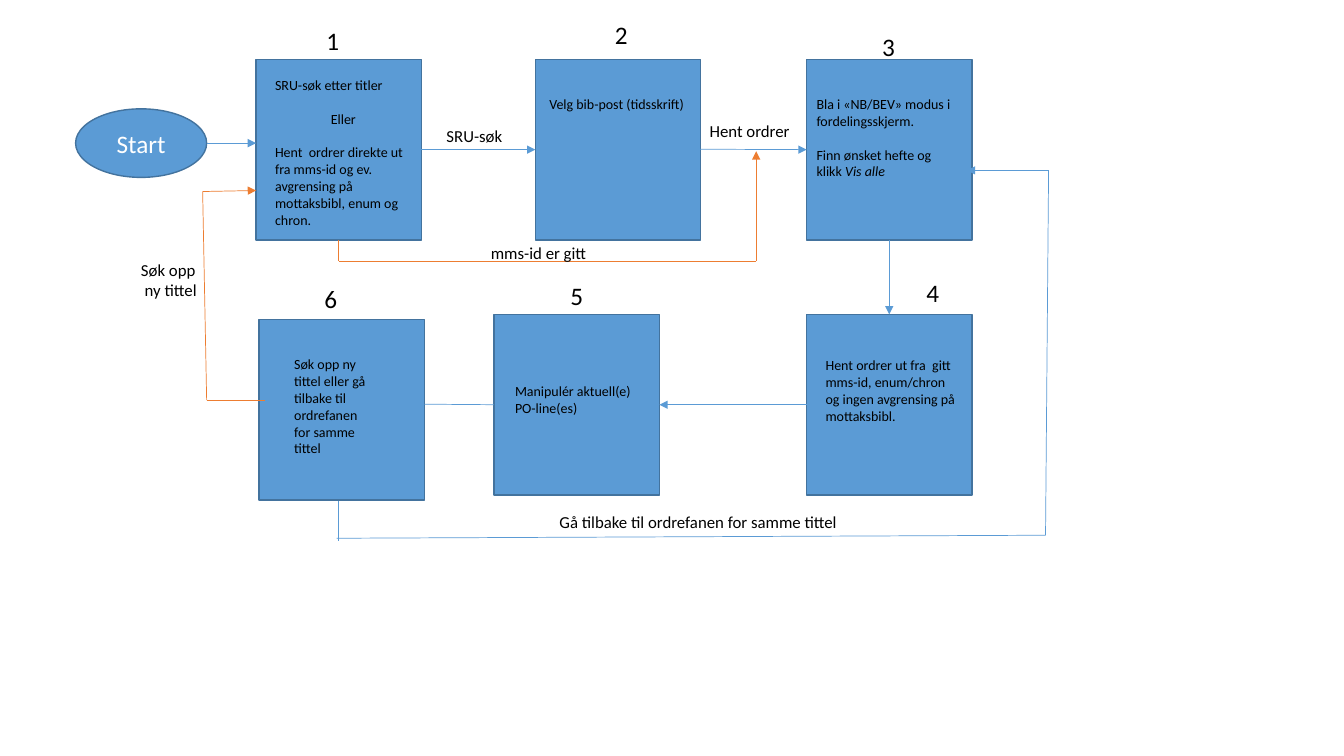
"""Build a flow chart of the order search process in six numbered steps."""
from lxml import etree
from pptx import Presentation
from pptx.dml.color import RGBColor
from pptx.enum.shapes import MSO_CONNECTOR, MSO_SHAPE
from pptx.enum.text import MSO_ANCHOR, PP_ALIGN
from pptx.oxml.ns import qn
from pptx.util import Inches, Pt

COLORS = {"blue": "5B9BD5", "edge": "43739E", "orange": "ED7D31",
          "black": "000000", "white": "FFFFFF"}
FONT = "Calibri"
BOX_WIDTH, BOX_HEIGHT = 1.64, 1.79
TOP, LEFT, BOTTOM, RIGHT = range(4)

deck = Presentation()
deck.slide_width, deck.slide_height = Inches(13.33), Inches(7.5)
page = deck.slides.add_slide(deck.slide_layouts[6])


def add_node(kind, left, top, width, height):
    node = page.shapes.add_shape(kind, Inches(left), Inches(top), Inches(width), Inches(height))
    node.shadow.inherit = False
    node.fill.solid()
    node.fill.fore_color.rgb = RGBColor.from_string(COLORS["blue"])
    node.line.color.rgb = RGBColor.from_string(COLORS["edge"])
    node.line.width = Pt(1)
    return node


def add_text(place, size, paragraphs):
    box = page.shapes.add_textbox(*[Inches(length) for length in place])
    frame = box.text_frame
    frame.word_wrap = True
    for index, text in enumerate(paragraphs):
        para = frame.paragraphs[0] if index == 0 else frame.add_paragraph()
        para.text = text
        para.font.name, para.font.size = FONT, Pt(size)
        para.font.color.rgb = RGBColor.from_string(COLORS["black"])
        if index:
            para.space_before = Pt(12)
    return frame


start = add_node(MSO_SHAPE.OVAL, 0.75, 1.08, 1.3, 0.68)
start.text_frame.vertical_anchor = MSO_ANCHOR.MIDDLE
start_para = start.text_frame.paragraphs[0]
start_para.text = "Start"
start_para.alignment = PP_ALIGN.CENTER
start_para.font.name, start_para.font.size = FONT, Pt(18)
start_para.font.color.rgb = RGBColor.from_string(COLORS["white"])

steps = [
    ((2.54, 0.59), (3.14, 0.2), (2.63, 0.71, 1.55, 1.62),
     ["SRU-søk etter titler", "Eller",
      "Hent  ordrer direkte ut fra mms-id og ev. avgrensing på mottaksbibl, enum og chron."]),
    ((5.31, 0.59), (6, 0.14), (5.35, 0.9, 1.55, 0.27), ["Velg bib-post (tidsskrift)"]),
    ((8, 0.59), (8.65, 0.26), (8, 0.9, 1.55, 1.11),
     ["Bla i «NB/BEV» modus i fordelingsskjerm.", "Finn ønsket hefte og klikk "]),
    ((8, 3.12), (9.09, 2.7), (8.09, 3.49, 1.55, 0.77),
     ["Hent ordrer ut fra  gitt mms-id, enum/chron og ingen avgrensing på mottaksbibl."]),
    ((4.9, 3.12), (5.56, 2.73), (5.01, 3.75, 1.55, 0.44), ["Manipulér aktuell(e) PO-line(es)"]),
    ((2.57, 3.17), (3.12, 2.76), (2.82, 3.48, 1, 1.11),
     ["Søk opp ny tittel eller gå tilbake til ordrefanen for samme tittel"]),
]
boxes, frames = {}, {}
for number, (corner, number_corner, text_place, paragraphs) in enumerate(steps, 1):
    boxes[number] = add_node(MSO_SHAPE.RECTANGLE, *corner, BOX_WIDTH, BOX_HEIGHT)
    frames[number] = add_text(text_place, 10, paragraphs)
    add_text((*number_corner, 0.43, 0.4), 18, [str(number)])

frames[1].paragraphs[1].alignment = PP_ALIGN.CENTER
span = frames[3].paragraphs[1].add_run()
span.text = "Vis alle"
span.font.italic = True

links = [
    ("blue", (2.05, 1.42), (2.54, 1.42), True, None, None),
    ("blue", (4.18, 1.48), (5.31, 1.48), True, (1, RIGHT), (2, LEFT)),
    ("blue", (6.86, 1.48), (8, 1.48), True, None, (3, LEFT)),
    ("blue", (8.82, 2.38), (8.82, 3.12), True, (3, BOTTOM), (4, TOP)),
    ("blue", (8, 4.01), (6.54, 4.01), True, (4, LEFT), (5, RIGHT)),
    ("blue", (4.9, 4.01), (4.21, 4.01), False, (5, LEFT), None),
    ("blue", (3.36, 4.97), (3.36, 5.37), False, None, None),
    ("blue", (3.34, 5.34), (10.37, 5.31), False, None, None),
    ("blue", (10.37, 5.31), (10.4, 1.69), False, None, None),
    ("blue", (10.4, 1.69), (9.59, 1.69), True, None, None),
    ("orange", (2.63, 3.97), (2.05, 3.97), False, None, None),
    ("orange", (2.05, 3.97), (2.01, 1.9), False, None, None),
    ("orange", (2.01, 1.9), (2.54, 1.89), True, None, None),
    ("orange", (3.36, 2.38), (3.36, 2.59), False, (1, BOTTOM), None),
    ("orange", (3.36, 2.59), (7.5, 2.59), False, None, None),
    ("orange", (7.5, 2.59), (7.5, 1.5), True, None, None),
]
for color, begin, end, has_arrow, begin_site, end_site in links:
    link = page.shapes.add_connector(
        MSO_CONNECTOR.STRAIGHT, *[Inches(length) for length in begin + end])
    if begin_site:
        link.begin_connect(boxes[begin_site[0]], begin_site[1])
    if end_site:
        link.end_connect(boxes[end_site[0]], end_site[1])
    link.line.color.rgb = RGBColor.from_string(COLORS[color])
    link.line.width = Pt(0.5)
    if has_arrow:
        etree.SubElement(link.line._get_or_add_ln(), qn("a:tailEnd"), type="triangle")
    etree.SubElement(link._element.spPr, qn("a:effectLst"))

labels = [
    ((5.45, 5.03, 3.01, 0.3), "Gå tilbake til ordrefanen for samme tittel"),
    ((1.3, 2.53, 0.76, 0.5), "Søk opp  ny tittel"),
    ((4.77, 2.36, 2.23, 0.3), "mms-id er gitt"),
    ((4.33, 1.2, 0.88, 0.3), "SRU-søk"),
    ((6.94, 1.15, 1.03, 0.3), "Hent ordrer"),
]
for place, text in labels:
    add_text(place, 12, [text])

deck.save("out.pptx")
